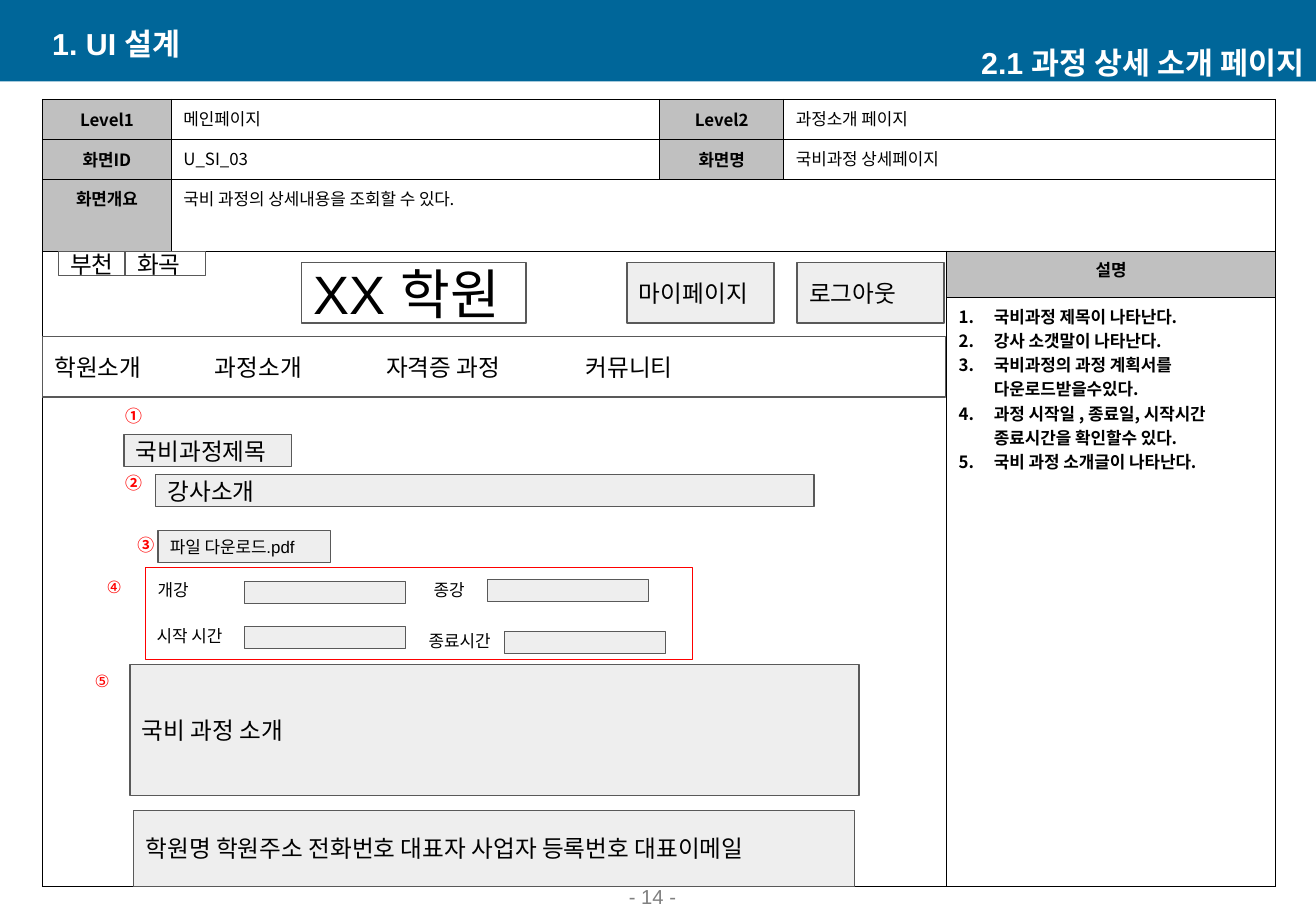
"""Build the UI design slide for the course detail page."""
from lxml.etree import SubElement
from pptx import Presentation
from pptx.dml.color import RGBColor
from pptx.enum.shapes import MSO_SHAPE
from pptx.enum.text import MSO_ANCHOR as Anchor, MSO_AUTO_SIZE, PP_ALIGN as Align
from pptx.oxml.ns import qn
from pptx.util import Inches, Pt

COLORS = {"bar": "006699", "white": "FFFFFF", "black": "000000", "label": "C0C0C0",
          "box": "EEEEEE", "line": "595959", "red": "FF0000", "page": "808080"}
LATIN, KOREAN = "Arial", "Noto Sans CJK KR"

TITLE = "1. UI 설계"
SUBTITLE = "2.1 과정 상세 소개 페이지"
PAGE = "- 14 -"

TABLE_LEFT, TABLE_TOP = 0.35, 0.82
COL_WIDTHS = [1.06, 4.02, 1.02, 1.34, 2.71]
ROW_HEIGHTS = [0.33, 0.33, 0.59, 0.38, 4.85]
MERGES = [((0, 3), (0, 4)), ((1, 3), (1, 4)), ((2, 1), (2, 4)), ((3, 0), (4, 3))]
LABELS = {(0, 0): "Level1", (0, 2): "Level2", (1, 0): "화면ID", (1, 2): "화면명",
          (2, 0): "화면개요", (3, 4): "설명"}
VALUES = {(0, 1): "메인페이지", (0, 3): "과정소개 페이지", (1, 1): "U_SI_03",
          (1, 3): "국비과정 상세페이지", (2, 1): "국비 과정의 상세내용을 조회할 수 있다."}
NOTES_CELL = (4, 4)
NOTES = ["국비과정 제목이 나타난다.", "강사 소갯말이 나타난다.",
         "국비과정의 과정 계획서를 다운로드받을수있다.",
         "과정 시작일 , 종료일, 시작시간 종료시간을 확인할수 있다.",
         "국비 과정 소개글이 나타난다."]

MENU = ["학원소개", "과정소개", "자격증 과정", "커뮤니티"]
MENU_TABS = [1.32, 2.73, 4.37]
BOXES = [
    ("XX 학원", 2.48, 2.16, 1.85, 0.5, "white", 32),
    ("마이페이지", 5.16, 2.16, 1.21, 0.5, "box", 14),
    ("학원명 학원주소 전화번호 대표자 사업자 등록번호 대표이메일", 1.1, 6.67, 5.93, 0.63, "box", 14),
    ("부천", 0.48, 2.07, 0.8, 0.2, "white", 14),
    ("화곡", 1.03, 2.07, 0.66, 0.2, "white", 14),
    ("\t".join(MENU), 0.35, 2.77, 7.43, 0.5, "white", 14),
    ("로그아웃", 6.56, 2.16, 1.21, 0.5, "box", 14),
    ("국비과정제목", 1.02, 3.58, 1.38, 0.26, "box", 14),
    ("강사소개", 1.28, 3.91, 5.42, 0.26, "box", 14),
    ("국비 과정 소개", 1.07, 5.47, 6, 1.08, "box", 14),
    ("파일 다운로드.pdf", 1.3, 4.37, 1.42, 0.26, "box", 10),
]
FIELDS = [(2.01, 4.79), (4.01, 4.77), (2.01, 5.16), (4.15, 5.2)]
FIELD_LABELS = [("개강", 1.2, 4.67, 0.73), ("종강", 3.47, 4.67, 0.54),
                ("시작 시간", 1.19, 5.05, 0.95), ("종료시간", 3.43, 5.09, 0.95)]
BOLD_MARKS = [("①", 0.93, 3.29), ("②", 0.93, 3.84), ("③", 1.03, 4.35)]
MARKS = [("④", 0.78, 4.65), ("⑤", 0.68, 5.42)]
FRAME = (1.2, 4.67, 4.5, 0.76)


def rgb(name):
    return RGBColor.from_string(COLORS[name])


def style(tf, size, color="black", bold=False, align=Align.LEFT, font=LATIN):
    for p in tf.paragraphs:
        p.alignment = align
        for r in p.runs:
            r.font.size, r.font.bold, r.font.name = Pt(size), bold, font
            r.font.color.rgb = rgb(color)
            SubElement(r.font._element, qn("a:ea"), typeface=KOREAN)


def set_frame(tf, text, anchor, pad):
    tf.word_wrap = True
    tf.auto_size = MSO_AUTO_SIZE.NONE
    tf.vertical_anchor = anchor
    tf.margin_left = tf.margin_right = Inches(0.1)
    tf.margin_top = tf.margin_bottom = Inches(pad)
    tf.text = text


def add_text(s, text, x, y, w, h, size, color="black", anchor=Anchor.TOP, pad=0.1, **look):
    sp = s.shapes.add_textbox(*map(Inches, (x, y, w, h)))
    set_frame(sp.text_frame, text, anchor, pad)
    style(sp.text_frame, size, color, **look)


def add_rect(s, x, y, w, h, fill=None, line=None):
    sp = s.shapes.add_shape(MSO_SHAPE.RECTANGLE, *map(Inches, (x, y, w, h)))
    sp.shadow.inherit = False
    if fill:
        sp.fill.solid()
        sp.fill.fore_color.rgb = rgb(fill)
    else:
        sp.fill.background()
    if line:
        sp.line.color.rgb = rgb(line)
        sp.line.width = Pt(0.75)
    else:
        sp.line.fill.background()
    return sp


def add_tabs(p, stops):
    tabs = SubElement(p._p.get_or_add_pPr(), qn("a:tabLst"))
    for stop in stops:
        SubElement(tabs, qn("a:tab"), pos=str(Inches(stop)), algn="l")


def add_number(p):
    pPr = p._p.get_or_add_pPr()
    pPr.set("marL", str(Inches(0.29)))
    pPr.set("indent", str(-Inches(0.29)))
    clr = SubElement(pPr, qn("a:buClr"))
    SubElement(clr, qn("a:srgbClr"), val=COLORS["black"])
    SubElement(pPr, qn("a:buAutoNum"), type="arabicPeriod")


def add_borders(cell):
    tcPr = cell._tc.get_or_add_tcPr()
    for side in ("lnL", "lnR", "lnT", "lnB"):
        ln = SubElement(tcPr, qn(f"a:{side}"), w=str(Pt(1)))
        fill = SubElement(ln, qn("a:solidFill"))
        SubElement(fill, qn("a:srgbClr"), val=COLORS["black"])


def add_header(s):
    title = s.shapes.title
    title.left, title.top, title.width, title.height = map(Inches, (0.33, 0.19, 4.38, 0.33))
    set_frame(title.text_frame, TITLE, Anchor.MIDDLE, 0.05)
    style(title.text_frame, 18, "white", bold=True)
    bar = add_rect(s, 0, 0, 10.83, 0.67, "bar")
    title.element.addprevious(bar.element)
    add_text(s, SUBTITLE, 6.45, 0.35, 4.38, 0.33, 18, "white", Anchor.MIDDLE, 0.05,
             bold=True, align=Align.RIGHT)
    add_text(s, PAGE, 4.24, 7.3, 2.26, 0.23, 12, "page", Anchor.BOTTOM, 0.05,
             align=Align.CENTER)


def add_spec_table(s):
    size = (TABLE_LEFT, TABLE_TOP, sum(COL_WIDTHS), sum(ROW_HEIGHTS))
    table = s.shapes.add_table(len(ROW_HEIGHTS), len(COL_WIDTHS), *map(Inches, size)).table
    table.first_row = table.horz_banding = False
    for col, width in zip(table.columns, COL_WIDTHS):
        col.width = Inches(width)
    for row, height in zip(table.rows, ROW_HEIGHTS):
        row.height = Inches(height)
    for first, last in MERGES:
        table.cell(*first).merge(table.cell(*last))
    for i in range(len(ROW_HEIGHTS)):
        for j in range(len(COL_WIDTHS)):
            cell = table.cell(i, j)
            add_borders(cell)
            is_label = (i, j) in LABELS
            if is_label:
                cell.fill.solid()
                cell.fill.fore_color.rgb = rgb("label")
                cell.text_frame.text = LABELS[i, j]
                cell.vertical_anchor = Anchor.MIDDLE if i < 2 else Anchor.TOP
            else:
                cell.fill.background()
                cell.text_frame.text = VALUES.get((i, j), "")
            if (i, j) == NOTES_CELL:
                cell.text_frame.text = "\n".join(NOTES)
                for p in cell.text_frame.paragraphs:
                    add_number(p)
            style(cell.text_frame, 10, bold=is_label or (i, j) == NOTES_CELL,
                  align=Align.CENTER if is_label else Align.LEFT, font=KOREAN)


def add_wireframe(s):
    for text, x, y, w, h, fill, size in BOXES:
        tf = add_rect(s, x, y, w, h, fill, "line").text_frame
        set_frame(tf, text, Anchor.MIDDLE, 0.1)
        if "\t" in text:
            add_tabs(tf.paragraphs[0], MENU_TABS)
        style(tf, size)
    for x, y in FIELDS:
        add_rect(s, x, y, 1.33, 0.18, "box", "line")
    for text, x, y, w in FIELD_LABELS:
        add_text(s, text, x, y, w, 0.37, 10)
    for text, x, y in BOLD_MARKS:
        add_text(s, text, x, y, 0.34, 0.27, 10, "red", pad=0.05, bold=True,
                 align=Align.CENTER, font=KOREAN)
    for text, x, y in MARKS:
        add_text(s, text, x, y, 0.34, 0.37, 10, "red")
    add_rect(s, *FRAME, line="red")


def main():
    prs = Presentation()
    prs.slide_width, prs.slide_height = Inches(10.83), Inches(7.5)
    s = prs.slides.add_slide(prs.slide_layouts[5])
    add_header(s)
    add_spec_table(s)
    add_wireframe(s)
    prs.save("out.pptx")


if __name__ == "__main__":
    main()
